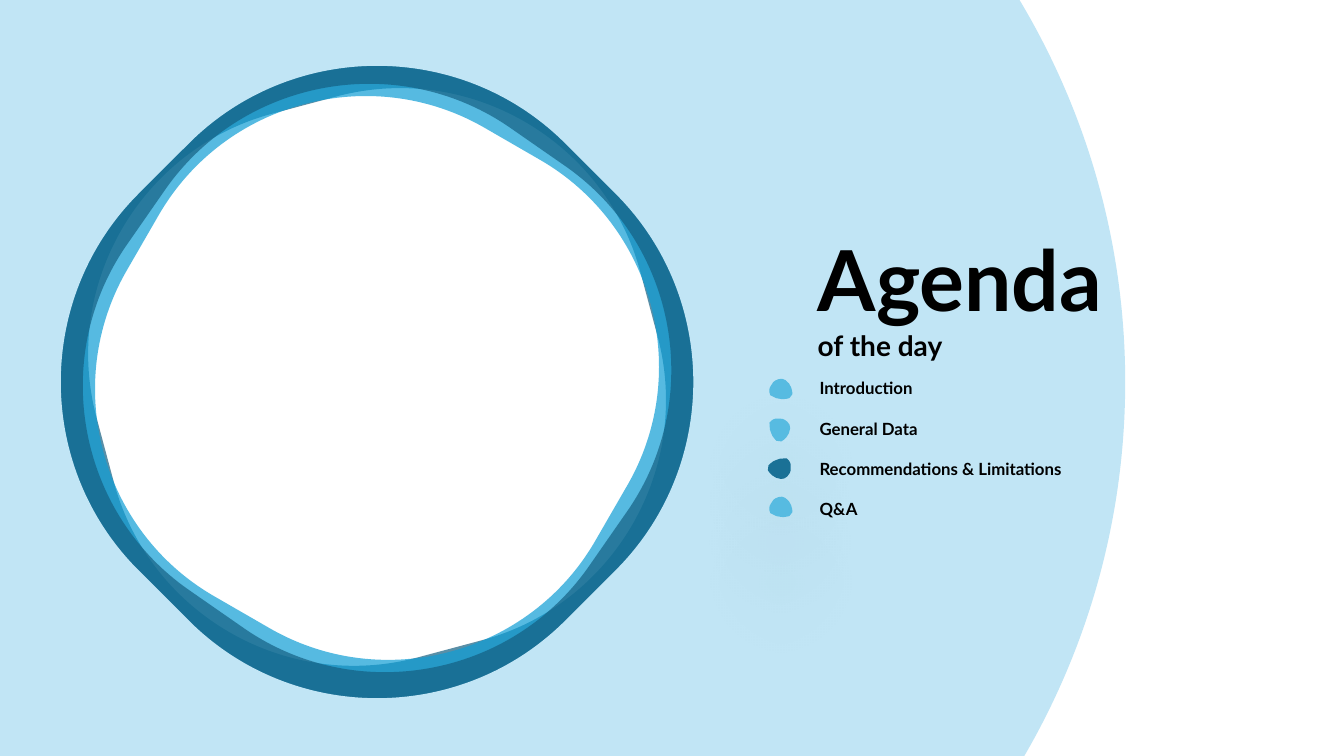
from math import cos, radians, sin

from lxml.etree import SubElement
from pptx import Presentation
from pptx.dml.color import RGBColor
from pptx.enum.text import MSO_ANCHOR, MSO_AUTO_SIZE, PP_ALIGN
from pptx.oxml.ns import qn
from pptx.util import Inches, Pt

FONT = "Lato"
COLORS = {
    "black": "000000",
    "pale": "C1E5F5",
    "sky": "0F9ED5",
    "teal": "156082",
    "bullet_light": "57BBE1",
    "bullet_dark": "1A7196",
    "shadow_green": "196B24",
    "shadow_lime": "4EA72E",
    "shadow_purple": "A02B93",
}

# centre x, centre y, outer radius, rotation, colour, opacity in percent
RINGS = [
    (3.74, 3.74, 6.92, 30, "teal", 70),
    (3.74, 3.75, 6.65, 345, "sky", 70),
    (3.74, 3.75, 6.92, 349.8, "teal", 70),
    (3.74, 3.79, 7.42, 0, "pale", 100),
]
HOLE_OFFSET, HOLE_RADIUS = 0.5 / 7.42, 2.64 / 7.42
QUARTER_HANDLE = 0.55  # handle length of a quarter circle, as a share of its radius

# label, bullet top, bullet rotation, bullet colour, shadow colour
AGENDA = [
    ("Introduction", 3.74, 0, "bullet_light", "shadow_green"),
    ("General Data", 4.14, 60, "bullet_light", "shadow_lime"),
    ("Recommendations & Limitations", 4.55, 150, "bullet_dark", "shadow_purple"),
    ("Q&A", 4.91, 0, "bullet_light", "shadow_green"),
]
BULLET_LEFT = 7.63

# Start point in inches, then two handles and an end point for each curve
PEBBLE = [
    (0.23, 0.17),
    (0.22, 0.18), (0.21, 0.20), (0.20, 0.21),
    (0.19, 0.21), (0.17, 0.22), (0.14, 0.22),
    (0.12, 0.22), (0.07, 0.21), (0.07, 0.21),
    (0.05, 0.20), (0.03, 0.19), (0.01, 0.18),
    (0.00, 0.16), (0.00, 0.14), (0.00, 0.13),
    (0.00, 0.10), (0.03, 0.07), (0.04, 0.05),
    (0.06, 0.03), (0.12, 0.00), (0.16, 0.03),
    (0.22, 0.07), (0.23, 0.14), (0.23, 0.17),
]


def rgb(name):
    return RGBColor.from_string(COLORS[name])


def quarter_arc(x, y, radius, start):
    """Start, two handles and end of a quarter circle."""
    across, down = radius * cos(radians(start)), radius * sin(radians(start))
    shares = [(1, 0), (1, QUARTER_HANDLE), (QUARTER_HANDLE, 1), (0, 1)]
    return [(x + a * across - b * down, y + a * down + b * across) for a, b in shares]


def circle(radius):
    points = quarter_arc(0, 0, radius, 0)
    for start in (90, 180, 270):
        points += quarter_arc(0, 0, radius, start)[1:]
    return points


def rounded_hole(radius):
    """Outline of a rounded diamond, run backwards so that it cuts a hole."""
    points = []
    for turn in range(0, 360, 90):
        x = radius * HOLE_OFFSET * cos(radians(turn))
        y = radius * HOLE_OFFSET * sin(radians(turn))
        corner = quarter_arc(x, y, radius * HOLE_RADIUS, turn - 45)
        if points:
            points += [points[-1], corner[0]]
        points += corner
    return points[::-1]


def add_outline(slide, contours, left, top, rotation, color):
    contours = [[(Inches(x), Inches(y)) for x, y in points] for points in contours]
    builder = slide.shapes.build_freeform(*contours[0][0])
    builder.add_line_segments(contours[0][1:])
    for points in contours[1:]:
        builder.move_to(*points[0])
        builder.add_line_segments(points[1:])
    shape = builder.convert_to_shape(Inches(left), Inches(top))
    bend_segments(shape)
    shape.rotation = rotation
    shape.shadow.inherit = False
    shape.fill.solid()
    shape.fill.fore_color.rgb = rgb(color)
    shape.line.fill.background()
    return shape


def bend_segments(shape):
    """Join every three line segments into one cubic curve."""
    segments = list(shape._element.spPr.iter(qn("a:lnTo")))
    for index in range(0, len(segments), 3):
        first, second, third = segments[index:index + 3]
        first.tag = qn("a:cubicBezTo")
        for segment in (second, third):
            first.append(segment[0])
            segment.getparent().remove(segment)


def add_alpha(color_element, percent):
    SubElement(color_element, qn("a:alpha"), val=str(percent * 1000))


def add_ring(slide, x, y, radius, rotation, color, opacity):
    contours = [circle(radius), rounded_hole(radius)]
    shape = add_outline(slide, contours, x, y, rotation, color)
    if opacity < 100:
        add_alpha(next(shape._element.spPr.iter(qn("a:srgbClr"))), opacity)


def add_bullet(slide, left, top, rotation, color, shadow):
    shape = add_outline(slide, [PEBBLE], left, top, rotation, color)
    effects = shape._element.spPr.find(qn("a:effectLst"))
    outer_shadow = SubElement(
        effects, qn("a:outerShdw"), blurRad=str(Pt(67)), dist=str(Pt(53)),
        dir="5400000", algn="t", rotWithShape="0",
    )
    add_alpha(SubElement(outer_shadow, qn("a:srgbClr"), val=COLORS[shadow]), 19)


def fill_text(shape, lines, sizes, gap=0):
    frame = shape.text_frame
    frame.text = "\n".join(lines)
    frame.word_wrap = True
    frame.auto_size = MSO_AUTO_SIZE.SHAPE_TO_FIT_TEXT
    frame.vertical_anchor = MSO_ANCHOR.TOP
    for index, (paragraph, size) in enumerate(zip(frame.paragraphs, sizes)):
        paragraph.alignment = PP_ALIGN.LEFT
        paragraph.space_before = Pt(gap if index else 0)
        for run in paragraph.runs:
            run.font.name = FONT
            run.font.size = Pt(size)
            run.font.bold = True
            run.font.color.rgb = rgb("black")


def add_title(slide, left, top, width, height):
    title = slide.shapes.title
    title.left, title.top = Inches(left), Inches(top)
    title.width, title.height = Inches(width), Inches(height)
    fill_text(title, ["Agenda", "of the day"], [60, 20])


def add_agenda(slide, left, top, width, height):
    box = slide.shapes.add_textbox(
        Inches(left), Inches(top), Inches(width), Inches(height)
    )
    labels = [item[0] for item in AGENDA]
    fill_text(box, labels, [12] * len(labels), gap=14.4)
    for _, bullet_top, rotation, color, shadow in AGENDA:
        add_bullet(slide, BULLET_LEFT, bullet_top, rotation, color, shadow)


def main():
    presentation = Presentation()
    presentation.slide_width = Inches(13.33)
    presentation.slide_height = Inches(7.5)
    slide = presentation.slides.add_slide(presentation.slide_layouts[5])
    for ring in RINGS:
        add_ring(slide, *ring)
    add_title(slide, 8.01, 2.21, 3.83, 1.45)
    # The title is moved in front of the rings
    slide.shapes._spTree.append(slide.shapes.title._element)
    add_agenda(slide, 8.03, 3.7, 3.76, 1.51)
    presentation.save("out.pptx")


if __name__ == "__main__":
    main()
